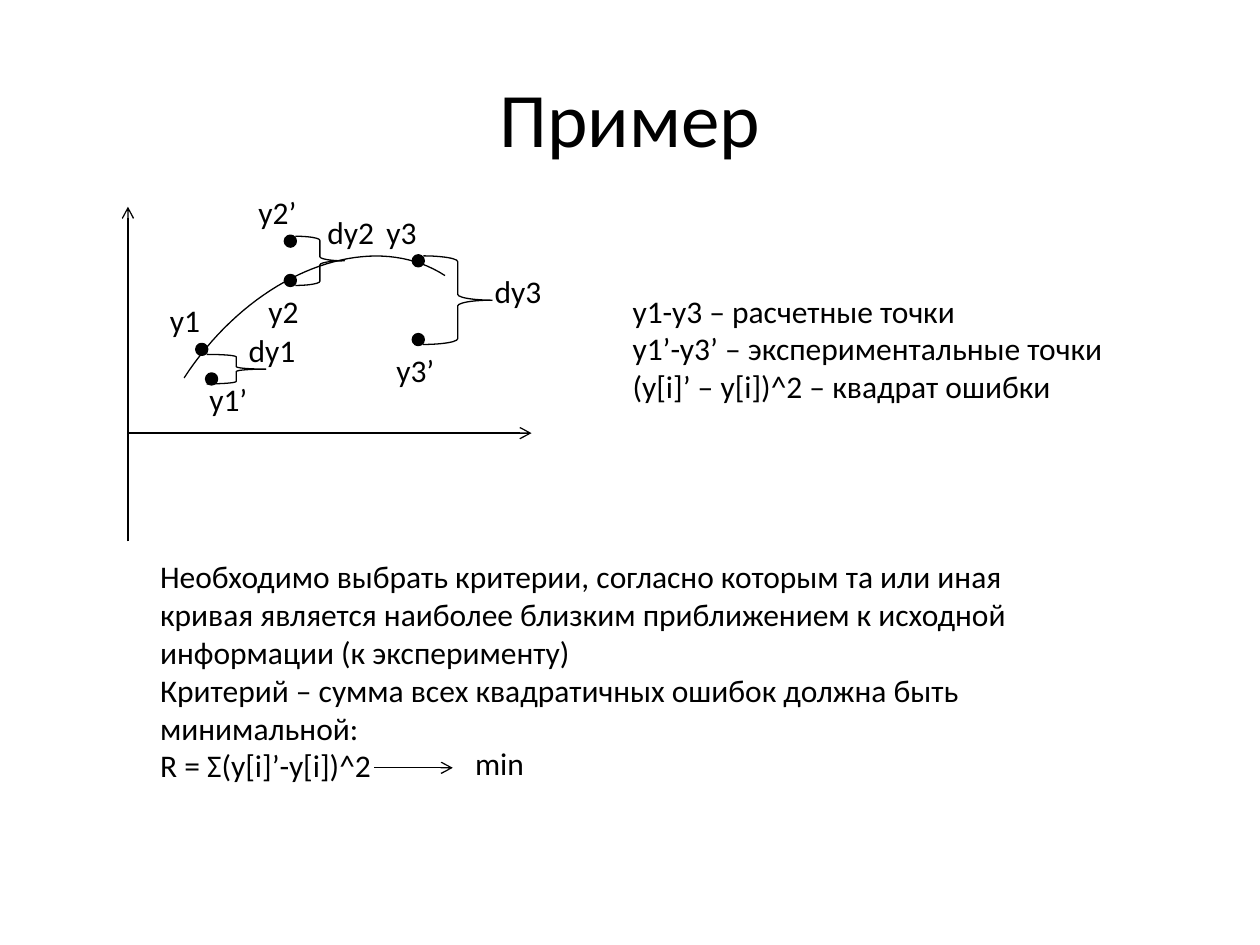
import dataclasses

import pptx
import pptx.dml.color
import pptx.enum.shapes
import pptx.enum.text
import pptx.oxml
import pptx.oxml.ns
import pptx.util

COLORS = {"ink": "000000", "paper": "FFFFFF"}
COLS = 128
CELL = pptx.util.Inches(10) / COLS
NS = pptx.oxml.ns.nsdecls("a")
SHAPE = pptx.enum.shapes.MSO_SHAPE
FONT = {"name": "Calibri", "size": pptx.util.Pt(18)}
TITLE_FONT = FONT | {"size": pptx.util.Pt(44)}
FRAME = {
    "word_wrap": True,
    "auto_size": pptx.enum.text.MSO_AUTO_SIZE.SHAPE_TO_FIT_TEXT,
}


@dataclasses.dataclass
class Box:
    """A place on the slide, in grid columns and rows."""
    col: float
    row: float
    cols: float = 1
    rows: float = 1

    def emu(self) -> list[int]:
        return [grid(v) for v in dataclasses.astuple(self)]


@dataclasses.dataclass
class Label:
    box: Box
    lines: list[str]
    wrap: bool = True


def tag(text: str, col: float, row: float) -> Label:
    return Label(Box(col, row, 9 if text.startswith("d") else 7, 5), [text])


DOTS = [Box(20, 35), Box(29, 28), Box(42, 26),
        Box(21, 38), Box(29, 24), Box(42, 34)]
BRACES = [Box(21, 36, 6, 3), Box(30, 24, 5, 5), Box(43, 26, 7, 9)]
ARROWS = [(13, 55, 13, 21), (13, 44, 54, 44), (38, 78, 46, 78)]
CURVE = [(18.7, 38.4), (25.7, 27.65), (37.6, 23.05), (45.2, 28)]
LABELS = [
    tag("y1", 16, 30), tag("y2", 26, 29), tag("y3", 38, 21),
    tag("dy1", 24, 33), tag("dy2", 32, 21), tag("dy3", 49, 27),
    tag("y2’", 25, 19), tag("y1’", 20, 38), tag("y3’", 39, 35),
    Label(Box(63, 29, 51, 12.8), [
        "y1-y3 – расчетные точки",
        "y1’-y3’ – экспериментальные точки",
        "(y[i]’ – y[i])^2 – квадрат ошибки",
    ]),
    Label(Box(15, 56, 89, 28.2), [
        "Необходимо выбрать критерии, согласно которым та или иная кривая "
        "является наиболее близким приближением к исходной информации "
        "(к эксперименту)",
        "Критерий – сумма всех квадратичных ошибок должна быть минимальной:",
        "R = Σ(y[i]’-y[i])^2",
    ]),
    Label(Box(47, 75, 7.5, 5), ["min"], wrap=False),
]


def grid(cells: float) -> int:
    return round(cells * CELL)


def rgb(name: str) -> pptx.dml.color.RGBColor:
    return pptx.dml.color.RGBColor.from_string(COLORS[name])


def apply(target, values: dict) -> None:
    for name, value in values.items():
        setattr(target, name, value)


def ink_line(line, width: float = 0.75) -> None:
    line.color.rgb = rgb("ink")
    line.width = pptx.util.Pt(width)


def write(tf, lines: list[str], font: dict) -> None:
    for i, text in enumerate(lines):
        p = tf.paragraphs[0] if i == 0 else tf.add_paragraph()
        r = p.add_run()
        r.text = text
        apply(r.font, font)
        r.font.color.rgb = rgb("ink")


def add_label(s, label: Label) -> None:
    tf = s.shapes.add_textbox(*label.box.emu()).text_frame
    apply(tf, FRAME | {"word_wrap": label.wrap})
    write(tf, label.lines, FONT)


def add_arrow(s, ends: tuple) -> None:
    kind = pptx.enum.shapes.MSO_CONNECTOR.STRAIGHT
    line = s.shapes.add_connector(kind, *map(grid, ends))
    ink_line(line.line)
    line.line._get_or_add_ln().append(
        pptx.oxml.parse_xml(f'<a:tailEnd {NS} type="arrow"/>'))
    line._element.spPr.append(pptx.oxml.parse_xml(f"<a:effectLst {NS}/>"))


def add_dot(s, box: Box) -> None:
    sp = s.shapes.add_shape(SHAPE.FLOWCHART_CONNECTOR, *box.emu())
    sp.shadow.inherit = False
    sp.fill.solid()
    sp.fill.fore_color.rgb = rgb("ink")
    ink_line(sp.line, 2)


def add_brace(s, box: Box) -> None:
    sp = s.shapes.add_shape(SHAPE.RIGHT_BRACE, *box.emu())
    sp.shadow.inherit = False
    sp.fill.background()
    ink_line(sp.line)


def bezier(t: float) -> tuple[int, int]:
    """Point of the cubic CURVE at t, in EMU."""
    weights = ((1 - t) ** 3, 3 * t * (1 - t) ** 2, 3 * t ** 2 * (1 - t), t ** 3)
    x, y = (sum(w * v for w, v in zip(weights, axis)) for axis in zip(*CURVE))
    return grid(x), grid(y)


def add_curve(s, steps: int = 40) -> None:
    points = [bezier(i / steps) for i in range(steps + 1)]
    builder = s.shapes.build_freeform(*points[0])
    builder.add_line_segments(points[1:], close=False)
    sp = builder.convert_to_shape()
    sp.shadow.inherit = False
    sp.fill.background()
    ink_line(sp.line)


def main() -> None:
    prs = pptx.Presentation()
    prs.slide_width, prs.slide_height = grid(COLS), grid(COLS * 3 / 4)
    s = prs.slides.add_slide(prs.slide_layouts[5])
    s.background.fill.solid()
    s.background.fill.fore_color.rgb = rgb("paper")

    title = s.shapes.title
    apply(title, dict(zip(("left", "top", "width", "height"),
                          Box(6.4, 3.84, 115.2, 16).emu())))
    title.text_frame.vertical_anchor = pptx.enum.text.MSO_ANCHOR.MIDDLE
    write(title.text_frame, ["Пример"], TITLE_FONT)
    title.text_frame.paragraphs[0].alignment = pptx.enum.text.PP_ALIGN.CENTER

    add_curve(s)
    for draw, items in ((add_arrow, ARROWS), (add_dot, DOTS),
                        (add_brace, BRACES), (add_label, LABELS)):
        for item in items:
            draw(s, item)
    prs.save("out.pptx")


if __name__ == "__main__":
    main()
